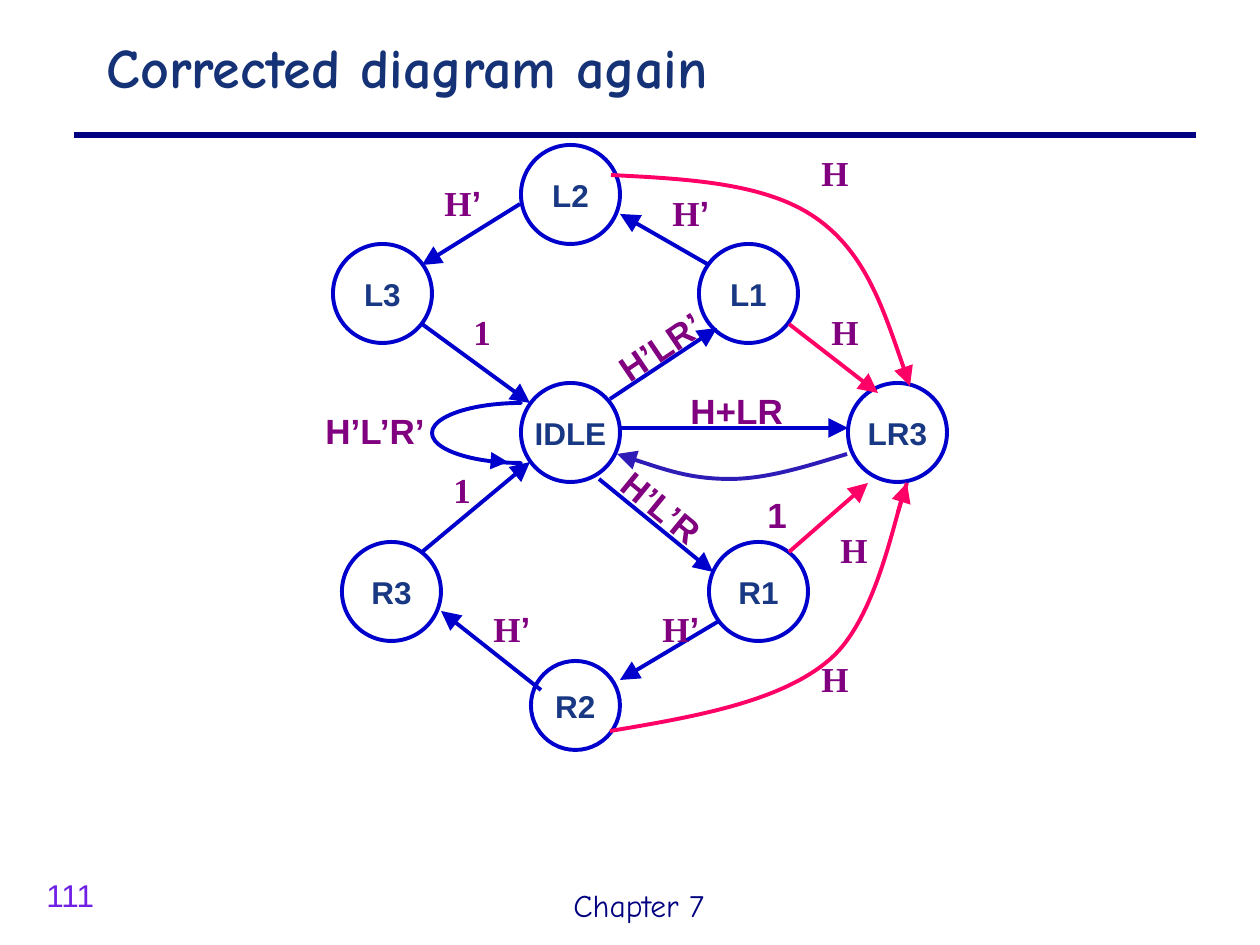
from lxml.etree import SubElement
from pptx import Presentation
from pptx.dml.color import RGBColor
from pptx.enum.shapes import MSO_CONNECTOR as Connector, MSO_SHAPE as Shape
from pptx.enum.text import MSO_ANCHOR as Anchor, MSO_AUTO_SIZE as AutoSize, PP_ALIGN as Align
from pptx.oxml.ns import qn
from pptx.util import Emu, Pt

SERIF, SANS, COMIC = "Times New Roman", "Arial", "Comic Neue"
BLUE, NAVY, PINK, INDIGO = "0000CC", "000080", "FF0066", "2E1CB6"
PURPLE, STATE_TEXT, TITLE_TEXT, NUMBER_TEXT = "800080", "183883", "153276", "6F20E4"

H = [("H", SERIF)]
H_NOT = [("H", SERIF), ("’", SANS)]
ONE = [("1", SERIF)]

STATES = [
    ("IDLE", 521, 383, 99), ("LR3", 848, 383, 99),
    ("L1", 699, 244, 99), ("L3", 333, 244, 99), ("L2", 521, 145, 99),
    ("R1", 709, 542, 99), ("R3", 342, 542, 99), ("R2", 531, 661, 89),
]
BLUE_ARROWS = [
    ((620, 428), (848, 428)), ((610, 399), (717, 328)),
    ((709, 265), (620, 214)), ((520, 204), (422, 265)),
    ((422, 324), (530, 403)), ((599, 479), (713, 572)),
    ((422, 552), (530, 462)), ((541, 690), (441, 611)),
    ((719, 621), (620, 680)),
]
PINK_ARROWS = [
    ((789, 324), (878, 393)), ((789, 552), (868, 483)), ((898, 512), (907, 483)),
]
CURVES = [
    (PINK, False, [(610, 731), (694, 717), (779, 702), (828, 661),
                   (878, 620), (895, 512), (907, 483)]),
    (PINK, True, [(611, 175), (689, 179), (766, 183), (816, 218),
                  (866, 253), (887, 320), (910, 386)]),
    (INDIGO, True, [(847, 454), (808, 466), (767, 479), (730, 479),
                    (690, 479), (654, 466), (617, 454)]),
]
LABELS = [
    ([("H+LR", SANS)], 678, 383, 161, 0),
    ([("H’LR’", SANS)], 600, 314, 135, 326),
    ([("H’L’R", SANS)], 600, 493, 155, 39.3),
    ([("H’L’R’", SANS)], 313, 403, 129, 0),
    ([("1", SANS)], 755, 487, 47, 0),
    (ONE, 461, 304, 49, 0), (ONE, 441, 462, 49, 0),
    (H_NOT, 660, 185, 69, 0), (H_NOT, 432, 175, 69, 0),
    (H_NOT, 481, 601, 69, 0), (H_NOT, 650, 601, 69, 0),
    (H, 819, 304, 69, 0), (H, 809, 145, 69, 0),
    (H, 809, 651, 69, 0), (H, 828, 522, 69, 0),
]


def px(value):
    """Turn pixels into EMU."""
    return Emu(round(value * 914400 / 126))


def rgb(value):
    """Turn a hex string into a colour."""
    return RGBColor.from_string(value)


def write(frame, runs, size=20, color=PURPLE, bold=False, align=Align.LEFT,
          anchor=Anchor.TOP, wrap=True):
    """Fill a text frame with one paragraph of (text, font) runs."""
    frame.word_wrap = wrap
    frame.auto_size = AutoSize.NONE
    frame.vertical_anchor = anchor
    paragraph = frame.paragraphs[0]
    paragraph.alignment = align
    for text, font in runs:
        run = paragraph.add_run()
        run.text = text
        run.font.name = font
        run.font.size = Pt(size)
        run.font.bold = bold
        run.font.color.rgb = rgb(color)


class Diagram:
    """Hold the line style and the slide of a state diagram."""

    def __init__(self, slide, weight=2.25):
        self.slide = slide
        self.shapes = slide.shapes
        self.weight = weight

    def stroke(self, line, color, weight=None, arrow=False):
        """Style a line, with an arrowhead at its end if asked."""
        line.color.rgb = rgb(color)
        line.width = Pt(weight or self.weight)
        if arrow:
            SubElement(line._get_or_add_ln(), qn("a:tailEnd"),
                       type="triangle", w="lg", len="lg")

    def title(self, text, x, y, width, height):
        """Move and format the title."""
        title = self.shapes.title
        title.left, title.top, title.width, title.height = map(px, (x, y, width, height))
        write(title.text_frame, [(text, COMIC)], size=32, color=TITLE_TEXT, bold=True)

    def label(self, runs, x, y, width, height=54, rotation=0, **style):
        """Add a text box."""
        box = self.shapes.add_textbox(px(x), px(y), px(width), px(height))
        box.rotation = rotation
        write(box.text_frame, runs, **style)

    def outline(self, kind, x, y, width, height):
        """Add an unfilled preset shape."""
        shape = self.shapes.add_shape(kind, px(x), px(y), px(width), px(height))
        shape.shadow.inherit = False
        shape.fill.background()
        self.stroke(shape.line, BLUE)
        return shape

    def state(self, name, x, y, size):
        """Add a state circle with its name."""
        circle = self.outline(Shape.OVAL, x, y, size, size)
        write(circle.text_frame, [(name, SANS)], size=18, color=STATE_TEXT, bold=True,
              align=Align.CENTER, anchor=Anchor.MIDDLE, wrap=False)

    def loop(self, x, y, width, height):
        """Add the half-round outline of a self transition."""
        self.outline(Shape.MOON, x, y, width, height).adjustments[0] = 0

    def line(self, start, end, color, weight=None, arrow=True):
        """Add a straight line."""
        connector = self.shapes.add_connector(
            Connector.STRAIGHT, *map(px, start), *map(px, end))
        self.stroke(connector.line, color, weight, arrow)
        SubElement(connector._element.spPr, qn("a:effectLst"))

    def curve(self, points, color, arrow):
        """Add a curve of joined cubic pieces, three points to a piece."""
        builder = self.shapes.build_freeform(*map(px, points[0]))
        builder.add_line_segments([tuple(map(px, point)) for point in points[1:]], close=False)
        shape = builder.convert_to_shape()
        segments = list(shape._element.iter(qn("a:lnTo")))
        for index, segment in enumerate(segments):
            if index % 3 == 0:
                piece = SubElement(segment.getparent(), qn("a:cubicBezTo"))
            piece.append(segment[0])
            segment.getparent().remove(segment)
        shape.shadow.inherit = False
        shape.fill.background()
        self.stroke(shape.line, color, arrow=arrow)


def main():
    """Build the slide and save it."""
    presentation = Presentation()
    presentation.slide_width, presentation.slide_height = px(1260), px(945)
    diagram = Diagram(presentation.slides.add_slide(presentation.slide_layouts[5]))

    diagram.title("Corrected diagram again", 94, 26, 1101, 100)
    diagram.line((74, 135), (1196, 135), NAVY, weight=3, arrow=False)
    diagram.label([("Chapter 7", COMIC)], 561, 880, 179, 50, size=18, color=NAVY)
    diagram.label([("111", SANS)], 34, 870, 89, 50, size=18, color=NUMBER_TEXT)
    for state in STATES:
        diagram.state(*state)
    diagram.loop(432, 403, 89, 60)
    diagram.line((495, 461), (508, 462), BLUE, weight=0.75)
    for color, arrows in ((BLUE, BLUE_ARROWS), (PINK, PINK_ARROWS)):
        for start, end in arrows:
            diagram.line(start, end, color)
    for color, arrow, points in CURVES:
        diagram.curve(points, color, arrow)
    for runs, x, y, width, rotation in LABELS:
        diagram.label(runs, x, y, width, rotation=rotation, bold=True)
    presentation.save("out.pptx")


if __name__ == "__main__":
    main()
